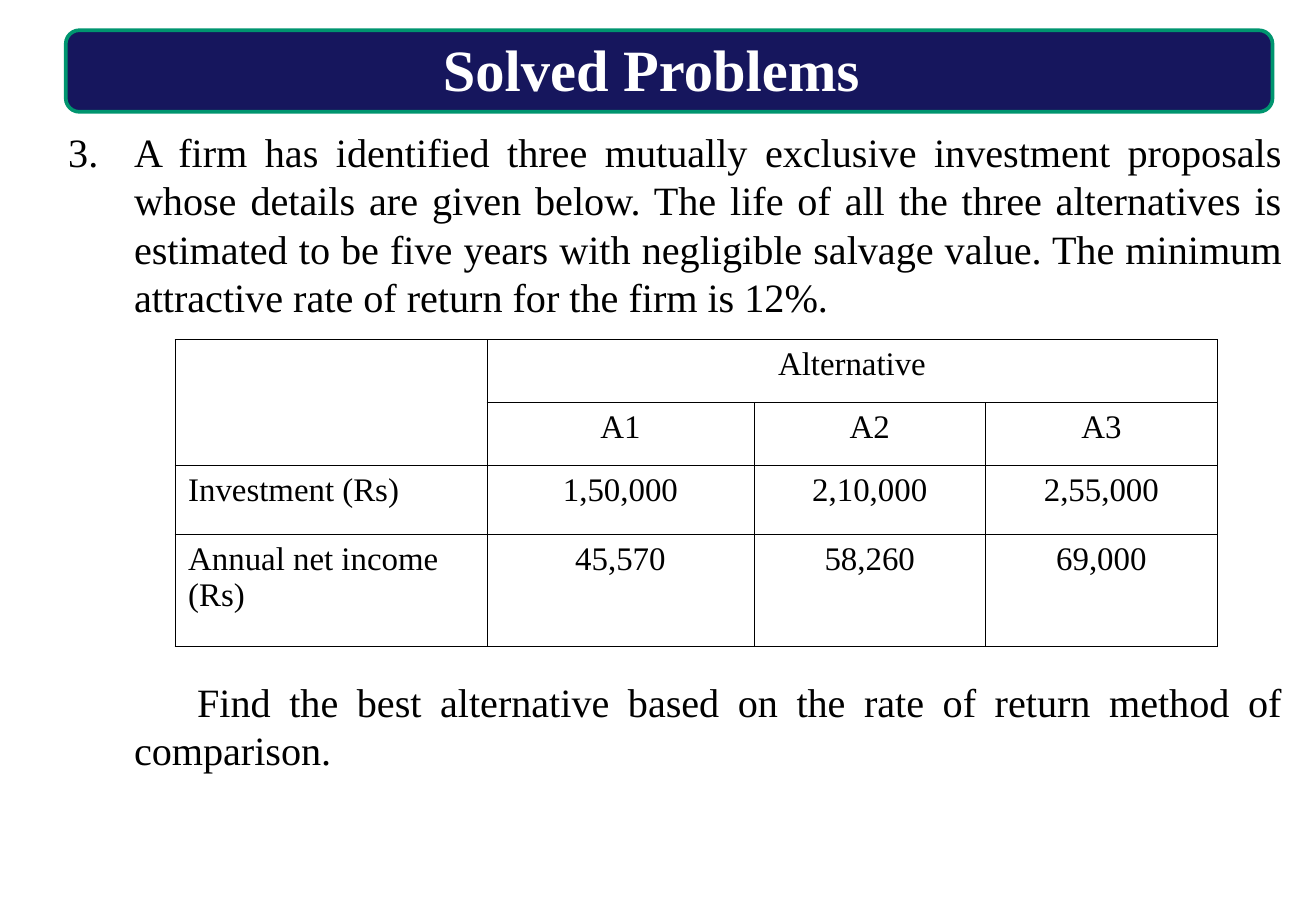
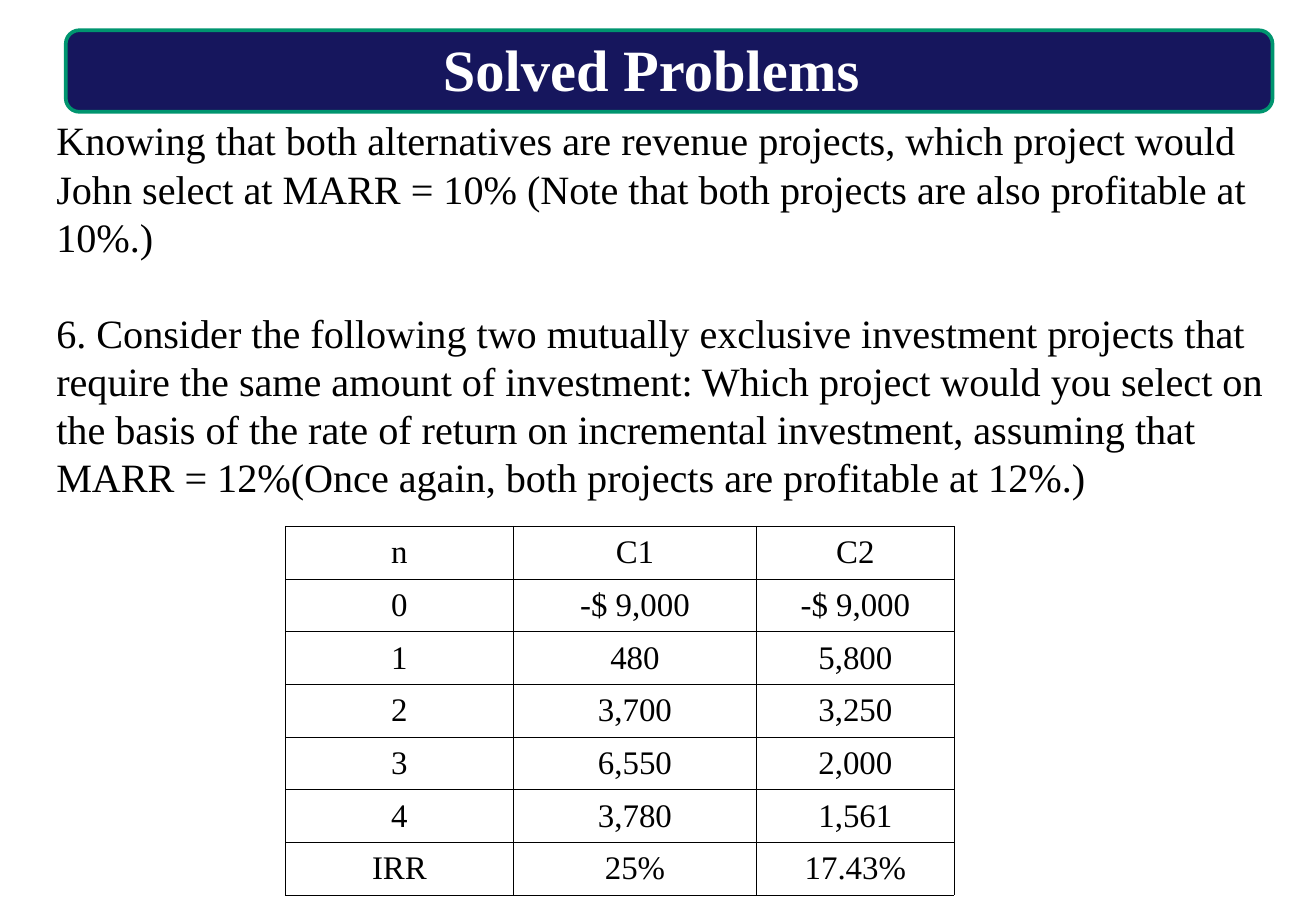
"""Builds two slides of solved rate-of-return problems with data tables."""
from lxml.etree import SubElement
from pptx import Presentation
from pptx.dml.color import RGBColor
from pptx.enum.shapes import MSO_SHAPE
from pptx.enum.text import MSO_ANCHOR, PP_ALIGN
from pptx.oxml.ns import qn
from pptx.util import Inches, Pt

FONT = "Times New Roman"
NAVY, GREEN, WHITE, BLACK = "16165D", "00956F", "FFFFFF", "000000"

TITLE_FONT = {"name": FONT, "size": Pt(32), "bold": True}
BODY_FONT = {"name": FONT, "size": Pt(22)}
TABLE_FONT = {"name": FONT, "size": Pt(18)}
CENTERED = {"alignment": PP_ALIGN.CENTER}
JUSTIFIED = {"alignment": PP_ALIGN.JUSTIFY}
LEFT = {"alignment": PP_ALIGN.LEFT}

FIRM_PROBLEM = (
    "3.\tA firm has identified three mutually exclusive investment proposals "
    "whose details are given below. The life of all the three alternatives is "
    "estimated to be five years with negligible salvage value. The minimum "
    "attractive rate of return for the firm is 12%."
)
FIRM_QUESTION = (
    "Find the best alternative based on the rate of return method of comparison."
)
REVENUE_QUESTION = (
    "Knowing that both alternatives are revenue projects, which project would "
    "John select at MARR = 10% (Note that both projects are also profitable at 10%.)"
)
INCREMENTAL_PROBLEM = (
    "6. Consider the following two mutually exclusive investment projects that "
    "require the same amount of investment: Which project would you select on "
    "the basis of the rate of return on incremental investment, assuming that "
    "MARR = 12%(Once again, both projects are profitable at 12%.)"
)
ALTERNATIVES = [
    ["", "Alternative", "", ""],
    ["", "A1", "A2", "A3"],
    ["Investment (Rs)", "1,50,000", "2,10,000", "2,55,000"],
    ["Annual net income (Rs)", "45,570", "58,260", "69,000"],
]
CASH_FLOWS = [
    ["n", "C1", "C2"],
    ["0", "-$ 9,000", "-$ 9,000"],
    ["1", "480", "5,800"],
    ["2", "3,700", "3,250"],
    ["3", "6,550", "2,000"],
    ["4", "3,780", "1,561"],
    ["IRR", "25%", "17.43%"],
]


def color(hex_value):
    return RGBColor.from_string(hex_value)


def apply(target, values):
    for name, value in values.items():
        setattr(target, name, value)


def write(paragraph, text, font, font_color, layout):
    paragraph.text = text
    apply(paragraph, layout)
    apply(paragraph.font, font)
    paragraph.font.color.rgb = color(font_color)


def indent(paragraph, margin, first_line):
    properties = paragraph._p.get_or_add_pPr()
    properties.set("marL", str(Inches(margin)))
    properties.set("indent", str(Inches(first_line)))


def add_text(slide, box, paragraphs, font=BODY_FONT, font_color=BLACK, layout=LEFT, gap=0):
    frame = slide.shapes.add_textbox(*map(Inches, box)).text_frame
    frame.word_wrap = True
    for index, text in enumerate(paragraphs):
        paragraph = frame.add_paragraph() if index else frame.paragraphs[0]
        write(paragraph, text, font, font_color, layout)
        if index:
            paragraph.space_before = Pt(gap)
    return frame


def add_title(slide, text):
    band = slide.shapes.add_shape(
        MSO_SHAPE.ROUNDED_RECTANGLE, *map(Inches, (0.5, 0.23, 9.17, 0.62))
    )
    band.shadow.inherit = False
    band.fill.solid()
    band.fill.fore_color.rgb = color(NAVY)
    band.line.color.rgb = color(GREEN)
    band.line.width = Pt(2)
    add_text(slide, (0.72, 0.2, 8.46, 0.47), [text], TITLE_FONT, WHITE, CENTERED)


def outline_cell(cell):
    properties = cell._tc.get_or_add_tcPr()
    for side in ("a:lnL", "a:lnR", "a:lnT", "a:lnB"):
        border = SubElement(properties, qn(side), w=str(Pt(0.45)))
        fill = SubElement(border, qn("a:solidFill"))
        SubElement(fill, qn("a:srgbClr"), val=BLACK)
    cell.fill.background()


def add_grid(slide, left, top, widths, heights, rows, anchor, first_column=CENTERED):
    grid = slide.shapes.add_table(
        len(rows), len(widths), Inches(left), Inches(top),
        Inches(sum(widths)), Inches(sum(heights)),
    ).table
    apply(grid, {"first_row": False, "horz_banding": False})
    for column, width in zip(grid.columns, widths):
        column.width = Inches(width)
    for row, height, texts in zip(grid.rows, heights, rows):
        row.height = Inches(height)
        for index, (cell, text) in enumerate(zip(row.cells, texts)):
            layout = CENTERED if index else first_column
            write(cell.text_frame.paragraphs[0], text, TABLE_FONT, BLACK, layout)
            cell.vertical_anchor = anchor
            outline_cell(cell)
    return grid


def build_alternatives(slide):
    problem = add_text(slide, (0.42, 0.92, 9.42, 1.6), [FIRM_PROBLEM], layout=JUSTIFIED)
    indent(problem.paragraphs[0], 0.5, -0.5)
    grid = add_grid(
        slide, 1.33, 2.58, [2.37, 2.03, 1.76, 1.76], [0.48, 0.48, 0.52, 0.85],
        ALTERNATIVES, MSO_ANCHOR.TOP, LEFT,
    )
    grid.cell(0, 0).merge(grid.cell(1, 0))
    grid.cell(0, 1).merge(grid.cell(0, 3))
    question = add_text(slide, (0.42, 5.1, 9.42, 0.85), [FIRM_QUESTION], layout=JUSTIFIED)
    indent(question.paragraphs[0], 0.5, 0.48)


def build_cash_flows(slide):
    add_text(
        slide, (0.33, 0.83, 9.67, 3.05), [REVENUE_QUESTION, INCREMENTAL_PROBLEM], gap=26
    )
    add_grid(
        slide, 2.17, 4, [1.73, 1.85, 1.5], [0.4] * len(CASH_FLOWS),
        CASH_FLOWS, MSO_ANCHOR.MIDDLE,
    )


def main():
    deck = Presentation()
    apply(deck, {"slide_width": Inches(10), "slide_height": Inches(7)})
    for build in (build_alternatives, build_cash_flows):
        slide = deck.slides.add_slide(deck.slide_layouts[6])
        add_title(slide, "Solved Problems")
        build(slide)
    deck.save("out.pptx")


if __name__ == "__main__":
    main()
